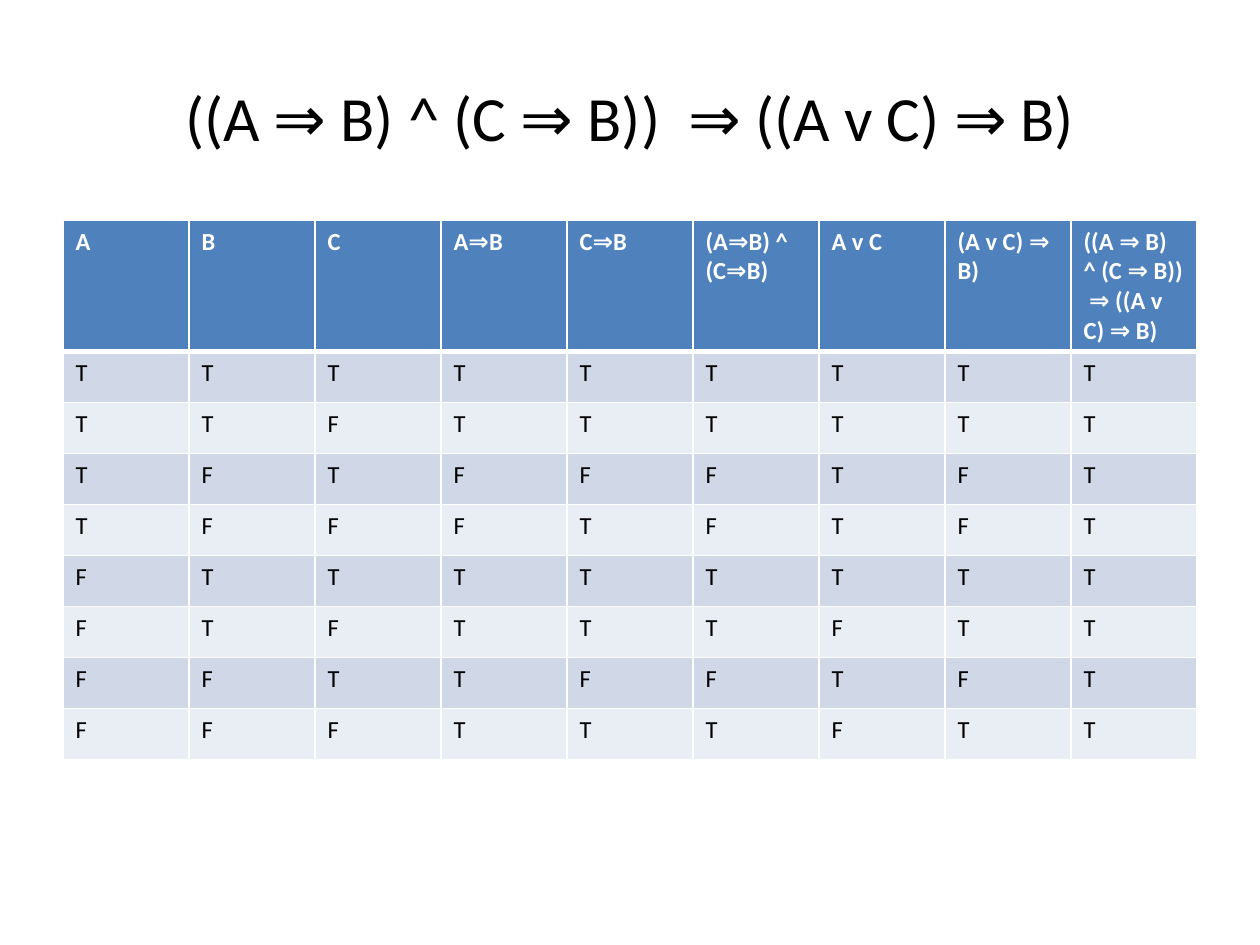
from dataclasses import dataclass
from itertools import product

from lxml.etree import SubElement
from pptx import Presentation
from pptx.dml.color import RGBColor
from pptx.enum.text import MSO_ANCHOR, PP_ALIGN
from pptx.oxml.ns import qn
from pptx.util import Inches, Pt


@dataclass(frozen=True)
class Theme:
    font: str = "Calibri"
    title_size: int = 36
    cell_size: int = 14
    text: str = "000000"
    header_text: str = "FFFFFF"
    header_fill: str = "4F81BD"
    bands: tuple[str, str] = ("D0D8E8", "E9EDF4")
    border: str = "FFFFFF"
    thin: int = 1
    thick: int = 3


@dataclass(frozen=True)
class CellStyle:
    fill: str
    color: str
    bold: bool = False
    top: int = 1
    bottom: int = 1


THEME = Theme()
FORMULA = "((A ⇒ B) ^ (C ⇒ B))  ⇒ ((A v C) ⇒ B)"
HEADERS = ["A", "B", "C", "A⇒B", "C⇒B", "(A⇒B) ^ (C⇒B)", "A v C", "(A v C) ⇒ B)", FORMULA]
TABLE_HEIGHT = 4.28
HEADER_HEIGHT = 1.04


def implies(p: bool, q: bool) -> bool:
    return not p or q


def truth_row(a: bool, b: bool, c: bool) -> list[str]:
    """Evaluate every column of the table for one assignment."""
    both = implies(a, b) and implies(c, b)
    either = a or c
    result = implies(either, b)
    values = [a, b, c, implies(a, b), implies(c, b), both, either, result, implies(both, result)]
    return ["T" if value else "F" for value in values]


def add_run(p, text: str, size: int, color: str, bold: bool = False) -> None:
    r = p.add_run()
    r.text = text
    r.font.name = THEME.font
    r.font.size = Pt(size)
    r.font.bold = bold
    r.font.color.rgb = RGBColor.from_string(color)


def set_borders(cell, top: int, bottom: int) -> None:
    tc_pr = cell._tc.get_or_add_tcPr()
    widths = {"a:lnL": THEME.thin, "a:lnR": THEME.thin, "a:lnT": top, "a:lnB": bottom}
    for tag, width in widths.items():
        ln = SubElement(tc_pr, qn(tag), w=str(Pt(width)))
        fill = SubElement(ln, qn("a:solidFill"))
        SubElement(fill, qn("a:srgbClr"), val=THEME.border)


def fill_row(row, texts: list[str], style: CellStyle) -> None:
    for cell, text in zip(row.cells, texts):
        set_borders(cell, style.top, style.bottom)
        cell.fill.solid()
        cell.fill.fore_color.rgb = RGBColor.from_string(style.fill)
        add_run(cell.text_frame.paragraphs[0], text, THEME.cell_size, style.color, style.bold)


def add_title(s) -> None:
    sp = s.shapes.add_textbox(Inches(0.5), Inches(0.3), Inches(9), Inches(1.25))
    tf = sp.text_frame
    tf.word_wrap = True
    tf.vertical_anchor = MSO_ANCHOR.MIDDLE
    p = tf.paragraphs[0]
    p.alignment = PP_ALIGN.CENTER
    add_run(p, FORMULA, THEME.title_size, THEME.text)


def add_truth_table(s) -> None:
    body = [truth_row(*values) for values in product([True, False], repeat=3)]
    table = s.shapes.add_table(
        len(body) + 1, len(HEADERS),
        Inches(0.5), Inches(1.75), Inches(9), Inches(TABLE_HEIGHT),
    ).table
    header, *rows = table.rows
    header.height = Inches(HEADER_HEIGHT)
    fill_row(header, HEADERS, CellStyle(
        THEME.header_fill, THEME.header_text, bold=True, top=THEME.thin, bottom=THEME.thick))
    for i, (row, texts) in enumerate(zip(rows, body)):
        row.height = Inches((TABLE_HEIGHT - HEADER_HEIGHT) / len(body))
        top = THEME.thick if i == 0 else THEME.thin
        fill_row(row, texts, CellStyle(THEME.bands[i % 2], THEME.text, top=top, bottom=THEME.thin))


def main() -> None:
    prs = Presentation()
    prs.slide_width, prs.slide_height = Inches(10), Inches(7.5)
    s = prs.slides.add_slide(prs.slide_layouts[6])
    add_title(s)
    add_truth_table(s)
    prs.save("out.pptx")


if __name__ == "__main__":
    main()
